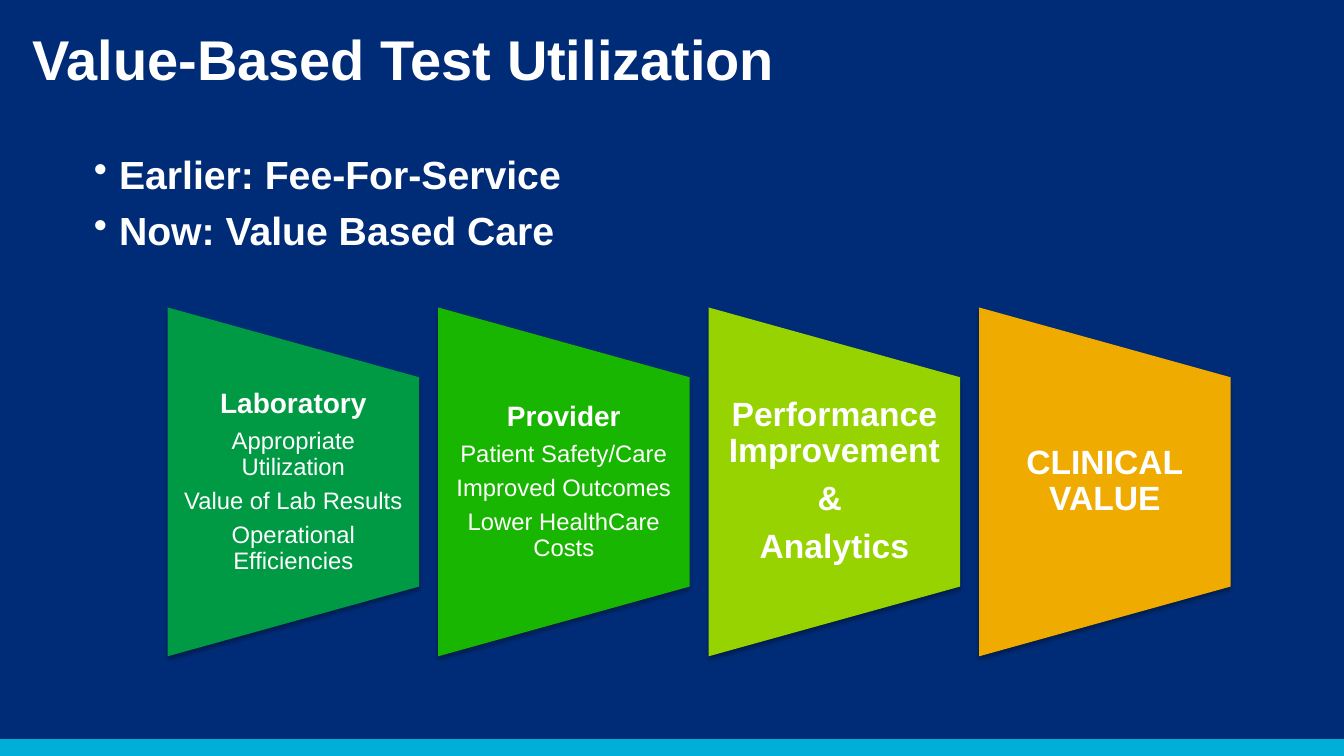
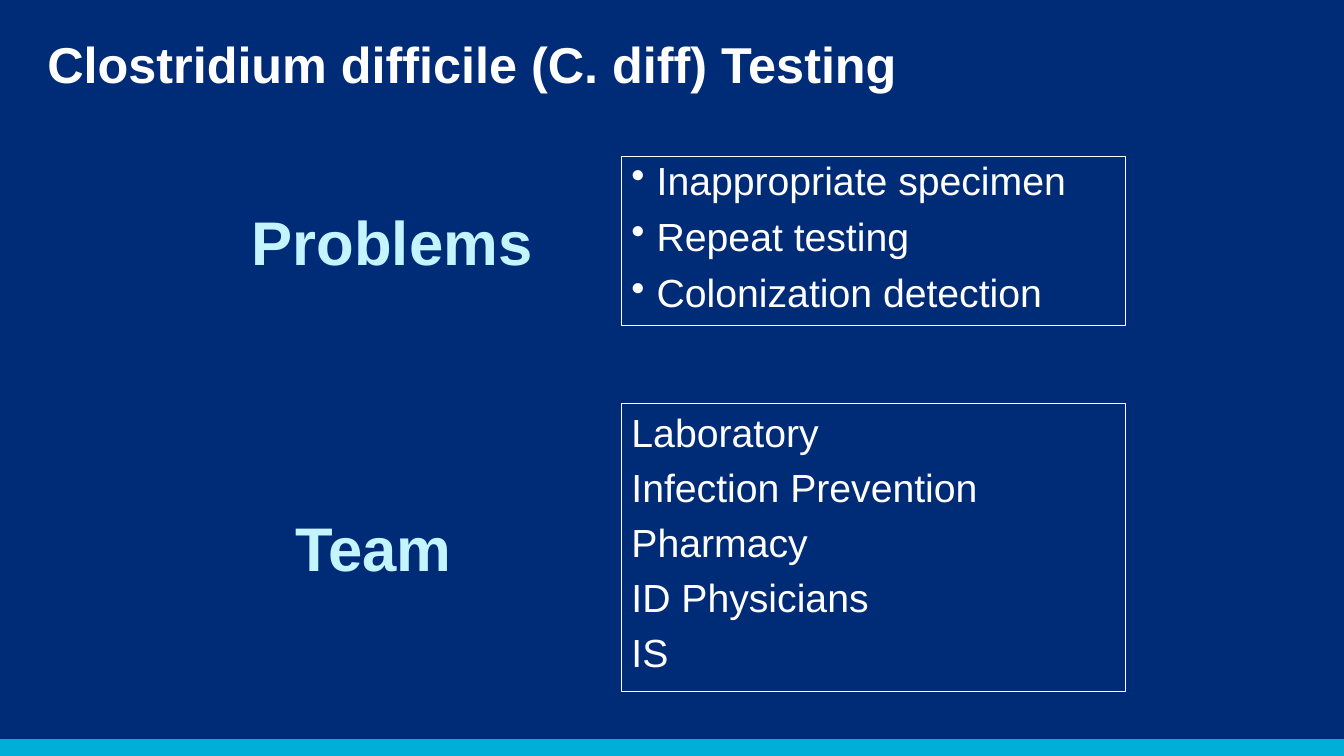
from lxml import etree
from pptx import Presentation
from pptx.dml.color import RGBColor
from pptx.enum import shapes as kinds, text as te
from pptx.oxml import parse_xml
from pptx.oxml.ns import qn
from pptx.util import Pt

NAVY, CYAN, PALE, WHITE = "002C77", "00AED7", "C4F4FF", "FFFFFF"
FONT = "Arial"
WIDE, HIGH, BAND = 960, 540, 12
LEFT, MID = te.PP_ALIGN.LEFT, te.PP_ALIGN.CENTER
TOP, CORE = te.MSO_ANCHOR.TOP, te.MSO_ANCHOR.MIDDLE
SHADE = """<a:effectLst xmlns:a="http://schemas.openxmlformats.org/drawingml/2006/main">
<a:outerShdw blurRad="39400" dist="22900" dir="5400000" rotWithShape="0">
<a:srgbClr val="000000"><a:alpha val="35000"/></a:srgbClr></a:outerShdw></a:effectLst>"""


def tint(hue):
    """Turn a hex string into a colour."""
    return RGBColor.from_string(hue)


def write(box, lines, size, lead=None, bold=False, hue=WHITE, align=LEFT,
          anchor=TOP, pitch=1.0, before=0, after=0, bullet=False, inset=None, wrap=True):
    """Fill a shape with paragraphs; lead is the size of a bold first line.

    The space after each paragraph is a share of its text size.
    """
    frame = box.text_frame
    frame.auto_size = te.MSO_AUTO_SIZE.NONE
    frame.word_wrap = wrap
    frame.vertical_anchor = anchor
    if inset is not None:
        frame.margin_left = frame.margin_right = Pt(inset)
        frame.margin_top = frame.margin_bottom = 0
    for i, line in enumerate(lines):
        head = lead is not None and i == 0
        points = lead if head else size
        para = frame.add_paragraph() if i else frame.paragraphs[0]
        para.text = line
        para.alignment = align
        para.line_spacing = pitch
        para.space_before = Pt(before if i else 0)
        para.space_after = Pt(round(after * points, 2))
        if bullet:
            props = para._p.get_or_add_pPr()
            props.set("marL", str(Pt(18)))
            props.set("indent", str(Pt(-18)))
            etree.SubElement(props, qn("a:buChar")).set("char", "•")
        for run in para.runs:
            font = run.font
            font.name, font.size, font.bold = FONT, Pt(points), bold or head
            font.color.rgb = tint(hue)


deck = Presentation()
deck.slide_width, deck.slide_height = Pt(WIDE), Pt(HIGH)
master = deck.slide_master
master.background.fill.solid()
master.background.fill.fore_color.rgb = tint(NAVY)

# Titles
titles = [
    ("Value-Based Test Utilization", 40, (16, 14, 640, 56), TOP, 1.0),
    ("Clostridium difficile (C. diff) Testing", 36, (26.6, 13.7, 648, 68.4), CORE, 0.9),
]
slides = []
for words, size, place, anchor, pitch in titles:
    slide = deck.slides.add_slide(deck.slide_layouts[5])
    title = slide.shapes.title
    title.left, title.top, title.width, title.height = map(Pt, place)
    write(title, [words], size, bold=True, anchor=anchor, pitch=pitch)
    slides.append(slide)
value, testing = slides

# Bottom band, shared through the master
band = value.shapes.add_shape(kinds.MSO_SHAPE.RECTANGLE, 0, Pt(HIGH - BAND), Pt(WIDE), Pt(BAND))
band.shadow.inherit = False
band.fill.solid()
band.fill.fore_color.rgb = tint(CYAN)
band.line.fill.background()
master.shapes.element.append(band.element)

# Slide 1: care models and the four steps
models = value.shapes.add_textbox(Pt(60), Pt(107.3), Pt(620), Pt(80))
write(models, ["Earlier: Fee-For-Service", "Now: Value Based Care"], 28,
      bold=True, pitch=0.9, before=10, bullet=True)

steps = [
    ("009944", 17, 20, 10, ["Laboratory", "Appropriate Utilization",
                            "Value of Lab Results", "Operational Efficiencies"]),
    ("18B600", 17, 20, 10, ["Provider", "Patient Safety/Care",
                            "Improved Outcomes", "Lower HealthCare Costs"]),
    ("96D300", 24, None, 12, ["Performance Improvement", "& ", "Analytics"]),
    ("F0AB00", 24, None, 12, ["CLINICAL\vVALUE"]),
]
START, STEP, CENTRE = 119.7, 193.2, 344.2
DEEP, LONG, TALL = 179.7, 249.2, 150
for i, (hue, size, lead, inset, lines) in enumerate(steps):
    left = START + i * STEP
    wedge = value.shapes.add_shape(
        kinds.MSO_SHAPE.FLOWCHART_MANUAL_OPERATION,
        Pt(left + (DEEP - LONG) / 2), Pt(CENTRE - DEEP / 2), Pt(LONG), Pt(DEEP))
    wedge.rotation = 270
    wedge.fill.solid()
    wedge.fill.fore_color.rgb = tint(hue)
    wedge.line.fill.background()
    wedge.element.spPr.append(parse_xml(SHADE))
    label = value.shapes.add_textbox(Pt(left), Pt(CENTRE - TALL / 2), Pt(DEEP), Pt(TALL))
    write(label, lines, size, lead=lead, bold=lead is None, align=MID, anchor=CORE,
          pitch=0.9, after=0.35, inset=inset)

# Slide 2: labels with framed lists
rows = [
    ("Problems", (172.8, 141.8, 217.4, 60.5), (111.6, 121),
     ["Inappropriate specimen", "Repeat testing", "Colonization detection"],
     dict(pitch=0.9, before=10, bullet=True)),
    ("Team", (203.8, 360.7, 127.4, 60.5), (288, 205.9),
     ["Laboratory", "Infection Prevention", "Pharmacy", "ID Physicians", "IS"],
     dict(before=5.6)),
]
for name, place, (top, tall), lines, style in rows:
    label = testing.shapes.add_textbox(*map(Pt, place))
    write(label, [name], 44, bold=True, hue=PALE, wrap=False)
    panel = testing.shapes.add_textbox(Pt(444), Pt(top), Pt(360), Pt(tall))
    panel.line.color.rgb = tint(WHITE)
    panel.line.width = Pt(0.75)
    write(panel, lines, 28, **style)

deck.save("out.pptx")
